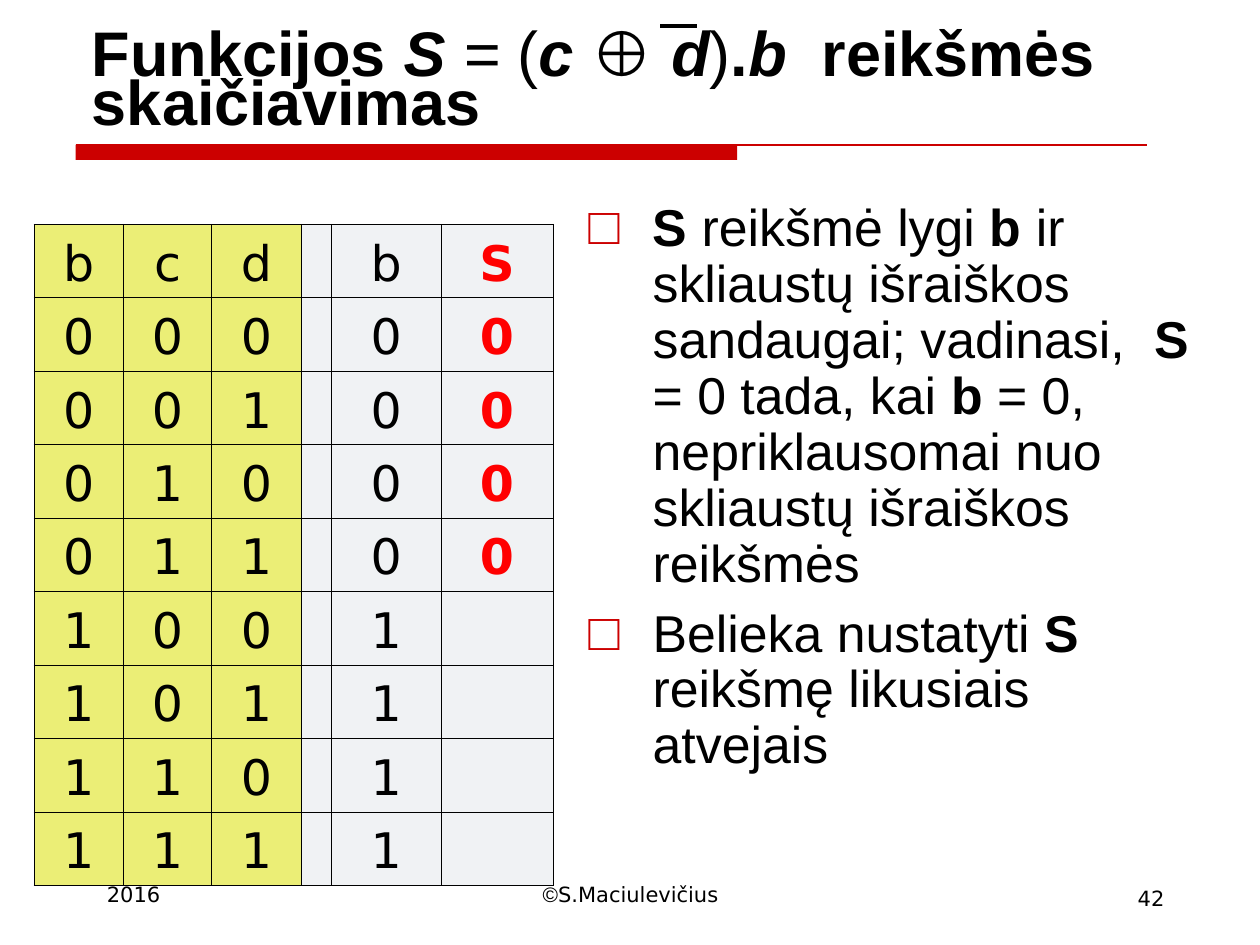
from lxml.etree import SubElement
from pptx import Presentation
from pptx.dml.color import RGBColor
from pptx.enum.shapes import MSO_CONNECTOR as Connector, MSO_SHAPE as Shape
from pptx.enum.text import MSO_ANCHOR as Anchor, MSO_AUTO_SIZE as AutoSize, PP_ALIGN as Align
from pptx.oxml.ns import qn
from pptx.util import Inches, Pt

COLORS = {
    "text": "000000",
    "rule": "CC0000",
    "result": "FF0000",
    "input": "EBEE76",
    "output": "F0F2F4",
}
SANS, TABLE_FONT = "Arial", "DejaVu Sans"
COLUMN_WIDTHS = [0.71, 0.7, 0.71, 0.24, 0.87, 0.89]
TITLE = [
    ("Funkcijos ", "b"), ("S ", "bi"), ("=", "i"), (" (", ""), ("c ", "bi"),
    ("⊕ ", "b"), ("d", "bi"), (")", ""), (".", "b"), ("b  ", "bi"),
    ("reikšmės skaičiavimas", "b"),
]
POINTS = [
    [("S", "b"), (" reikšmė lygi ", ""), ("b ", "b"),
     ("ir skliaustų išraiškos sandaugai; vadinasi,  ", ""), ("S", "b"),
     (" = 0 tada, kai ", ""), ("b", "b"),
     (" = 0, nepriklausomai nuo skliaustų išraiškos reikšmės", "")],
    [("Belieka nustatyti ", ""), ("S ", "b"), ("reikšmę likusiais atvejais", "")],
]


def color(name):
    """Return the named colour."""
    return RGBColor.from_string(COLORS[name])


def add_span(para, text, size, font=SANS, style="", tint="text"):
    """Add a run whose style letters are b for bold and i for italic."""
    span = para.add_run()
    span.text = text
    span.font.name, span.font.size = font, Pt(size)
    span.font.bold, span.font.italic = "b" in style, "i" in style
    span.font.color.rgb = color(tint)


def place(shape, left, top, width, height):
    """Move a shape to a box given in inches."""
    shape.left, shape.top = Inches(left), Inches(top)
    shape.width, shape.height = Inches(width), Inches(height)


def add_line(page, left, right, top, tint, weight):
    """Draw a horizontal line without a shadow."""
    line = page.shapes.add_connector(
        Connector.STRAIGHT, Inches(left), Inches(top), Inches(right), Inches(top))
    line.line.color.rgb = color(tint)
    line.line.width = Pt(weight)
    SubElement(line._element.spPr, qn("a:effectLst"))


def add_rule(page, left, top, width, height):
    """Draw the thick and thin red rule under the title."""
    thick_width = 5.25
    bar = page.shapes.add_shape(
        Shape.RECTANGLE, Inches(left), Inches(top), Inches(thick_width), Inches(height))
    bar.shadow.inherit = False
    bar.fill.solid()
    bar.fill.fore_color.rgb = color("rule")
    bar.line.fill.background()
    add_line(page, left, left + width, top, "rule", 0.75)


def add_title(page, left, top, width, height):
    """Fill the title and draw the negation bar over d."""
    title = page.shapes.title
    place(title, left, top, width, height)
    frame = title.text_frame
    frame.auto_size, frame.word_wrap = AutoSize.NONE, True
    frame.vertical_anchor = Anchor.BOTTOM
    para = frame.paragraphs[0]
    para.alignment, para.line_spacing = Align.LEFT, Pt(28)
    for text, style in TITLE:
        add_span(para, text, 36, style=style)
    add_line(page, left + 4.61, left + 4.9, top - 0.12, "text", 2.25)


def set_bullet(para, indent):
    """Give a paragraph a red square bullet with a hanging indent."""
    props = para._p.get_or_add_pPr()
    props.set("marL", str(Inches(indent)))
    props.set("indent", str(-Inches(indent)))
    tint = SubElement(props, qn("a:buClr"))
    SubElement(tint, qn("a:srgbClr")).set("val", COLORS["rule"])
    SubElement(props, qn("a:buFont")).set("typeface", SANS)
    SubElement(props, qn("a:buChar")).set("char", "□")


def add_points(page, left, top, width, height):
    """Fill the body placeholder with the explanation."""
    body = page.placeholders[1]
    place(body, left, top, width, height)
    frame = body.text_frame
    frame.auto_size, frame.word_wrap = AutoSize.NONE, True
    for index, spans in enumerate(POINTS):
        para = frame.add_paragraph() if index else frame.paragraphs[0]
        set_bullet(para, 0.51)
        para.line_spacing = 0.9
        para.space_before = Pt(8 if index else 0)
        for text, style in spans:
            add_span(para, text, 29.6, style=style)


def style_cell(cell, fill):
    """Give a cell thin black borders, tight margins and a plain fill."""
    props = cell._tc.get_or_add_tcPr()
    for side in ("lnL", "lnR", "lnT", "lnB"):
        border = SubElement(props, qn(f"a:{side}"))
        border.set("w", str(Pt(0.45)))
        paint = SubElement(border, qn("a:solidFill"))
        SubElement(paint, qn("a:srgbClr")).set("val", COLORS["text"])
    cell.margin_top, cell.margin_bottom = Inches(0.06), Inches(0.02)
    cell.fill.solid()
    cell.fill.fore_color.rgb = color(fill)


def truth_rows():
    """Return the header and the eight input combinations with known results."""
    rows = [["b", "c", "d", "", "b", "S"]]
    for number in range(8):
        b, c, d = f"{number:03b}"
        rows.append([b, c, d, "", b, "0" if b == "0" else ""])
    return rows


def add_truth_table(page, left, top, height):
    """Build the truth table with its inputs on the left."""
    rows = truth_rows()
    table = page.shapes.add_table(
        len(rows), len(COLUMN_WIDTHS), Inches(left), Inches(top),
        Inches(sum(COLUMN_WIDTHS)), Inches(height)).table
    table.first_row = table.horz_banding = False
    for column, width in zip(table.columns, COLUMN_WIDTHS):
        column.width = Inches(width)
    for row_index, values in enumerate(rows):
        table.rows[row_index].height = Inches(height / len(rows))
        for column_index, value in enumerate(values):
            cell = table.cell(row_index, column_index)
            style_cell(cell, "input" if column_index < 3 else "output")
            if not value:
                continue
            para = cell.text_frame.paragraphs[0]
            para.alignment, para.line_spacing = Align.CENTER, 1.07
            is_result = column_index == 5
            add_span(para, value, 28, TABLE_FONT, "b" if is_result else "",
                     "result" if is_result else "text")


def add_footer(page, left, top, width, align, spans):
    """Write one footer item from pairs of text and font."""
    box = page.shapes.add_textbox(Inches(left), Inches(top), Inches(width), Inches(0.5))
    box.text_frame.word_wrap = True
    para = box.text_frame.paragraphs[0]
    para.alignment = align
    for text, font in spans:
        add_span(para, text, 12, font)


def main():
    """Build and save the slide."""
    deck = Presentation()
    deck.slide_width, deck.slide_height = Inches(10), Inches(7.5)
    page = deck.slides.add_slide(deck.slide_layouts[1])
    add_rule(page, 0.6, 1.15, 8.5, 0.12)
    add_title(page, 0.63, 0.33, 8.75, 0.82)
    add_truth_table(page, 0.27, 1.78, 5.25)
    add_points(page, 4.57, 1.55, 5.2, 5.36)
    add_footer(page, 0.75, 6.95, 2.08, Align.LEFT, [("2016", TABLE_FONT)])
    add_footer(page, 3.42, 6.95, 3.17, Align.CENTER,
               [("©", SANS), ("S.Maciulevičius", TABLE_FONT)])
    add_footer(page, 7.26, 6.98, 2.08, Align.RIGHT, [("42", TABLE_FONT)])
    deck.save("out.pptx")


if __name__ == "__main__":
    main()
